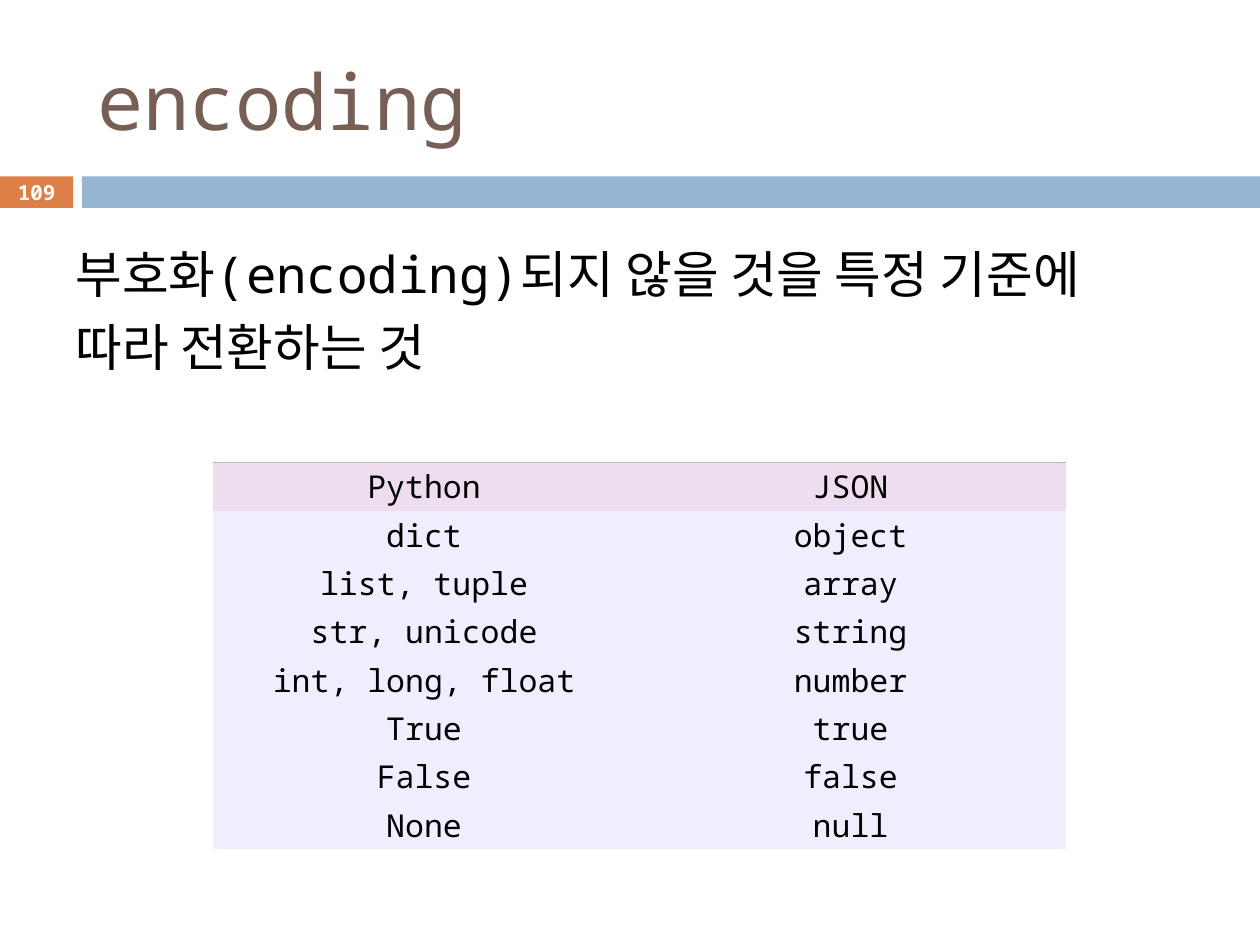
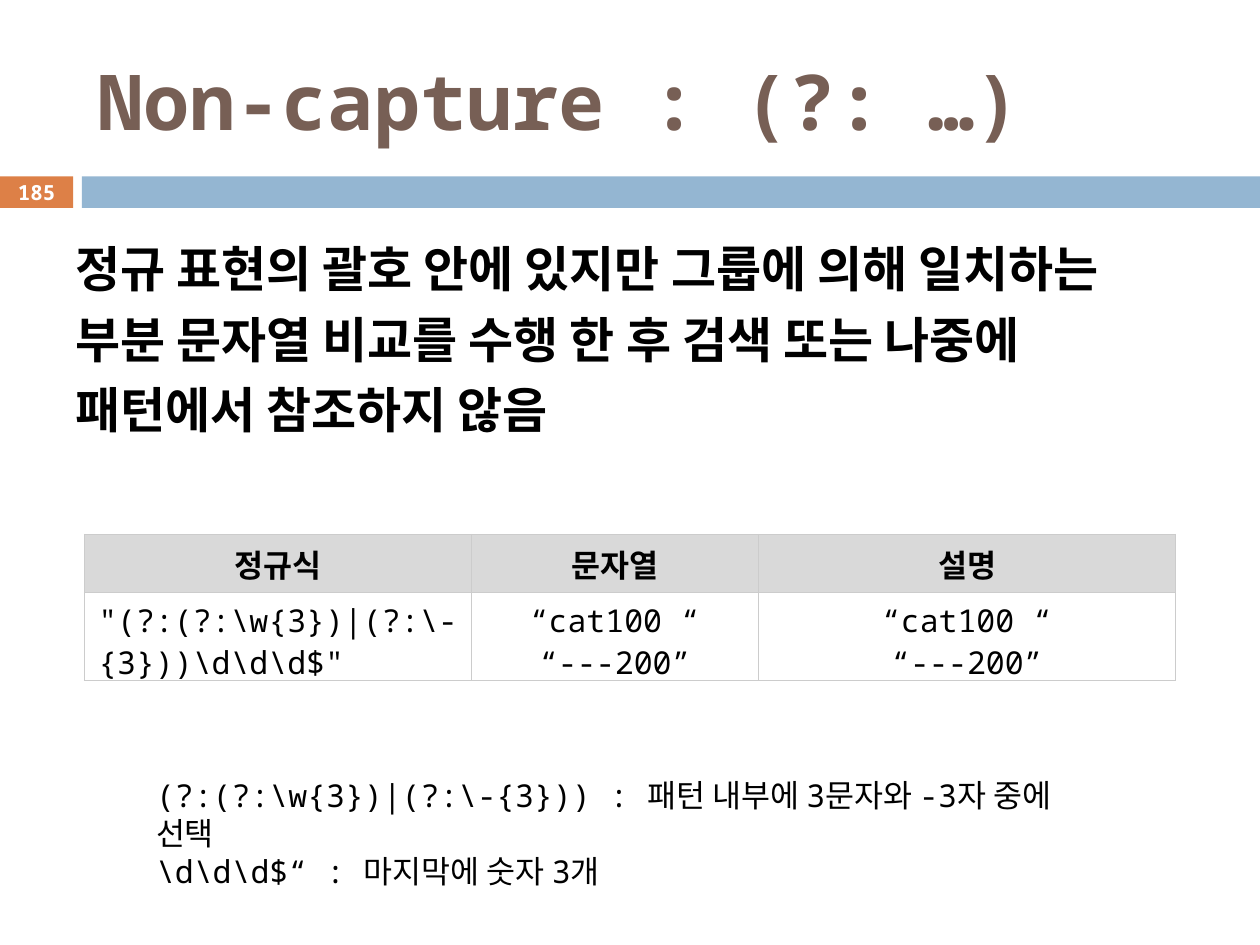
from dataclasses import dataclass

from lxml.etree import SubElement
from pptx import Presentation
from pptx.dml.color import RGBColor
from pptx.enum.shapes import MSO_SHAPE as Preset
from pptx.enum.text import MSO_ANCHOR as Anchor, PP_ALIGN as Align
from pptx.oxml.ns import qn
from pptx.util import Inches, Pt

COLUMNS, ROWS = 100, 75
TITLE_ONLY = 5
PLAIN_TABLE = "{2D5ABB26-0587-4C30-8999-92F81FD0307C}"


@dataclass(frozen=True)
class Theme:
    mono: str = "Noto Sans Mono"
    sans: str = "Arial"
    ink: str = "000000"
    white: str = "FFFFFF"
    title: str = "775F55"
    accent: str = "DD8047"
    band: str = "94B6D2"
    pink: str = "EEDDEE"
    pink_line: str = "CCAACC"
    lilac: str = "EEEEFF"
    gray: str = "D9D9D9"
    gray_line: str = "CCCCCC"
    title_size: float = 44
    statement_size: float = 29
    bold_statement_size: float = 28
    text_size: float = 18
    number_size: float = 11.9
    border: float = 0.6


class Deck:
    def __init__(self, theme):
        self.theme = theme
        self.presentation = Presentation()
        self.presentation.slide_width = Inches(10)
        self.presentation.slide_height = Inches(7.5)
        self.slide = None

    def across(self, columns):
        return round(self.presentation.slide_width * columns / COLUMNS)

    def down(self, rows):
        return round(self.presentation.slide_height * rows / ROWS)

    def area(self, left, top, width, height):
        return self.across(left), self.down(top), self.across(width), self.down(height)

    def fill_text(self, text_frame, text, size, color=None, font=None, bold=False,
                  align=Align.LEFT, line_spacing=None):
        text_frame.text = text
        text_frame.word_wrap = True
        for paragraph in text_frame.paragraphs:
            paragraph.alignment = align
            paragraph.line_spacing = line_spacing
            for run in paragraph.runs:
                run.font.name = font or self.theme.mono
                run.font.size = Pt(size)
                run.font.bold = bold
                run.font.color.rgb = RGBColor.from_string(color or self.theme.ink)

    def band(self, left, width, color):
        shape = self.slide.shapes.add_shape(Preset.RECTANGLE, *self.area(left, 14, width, 2.5))
        shape.shadow.inherit = False
        shape.fill.solid()
        shape.fill.fore_color.rgb = RGBColor.from_string(color)
        shape.line.fill.background()

    def text(self, area, text, size, anchor=Anchor.TOP, **style):
        text_frame = self.slide.shapes.add_textbox(*self.area(*area)).text_frame
        text_frame.vertical_anchor = anchor
        self.fill_text(text_frame, text, size, **style)

    def new_slide(self, title, number, bold=False):
        theme = self.theme
        layout = self.presentation.slide_layouts[TITLE_ONLY]
        self.slide = self.presentation.slides.add_slide(layout)
        self.band(0, 5.8, theme.accent)
        self.band(6.5, 93.5, theme.band)
        heading = self.slide.shapes.title
        heading.left, heading.top, heading.width, heading.height = self.area(6.7, 2.5, 89.2, 10.8)
        heading.text_frame.vertical_anchor = Anchor.MIDDLE
        self.fill_text(heading.text_frame, title, theme.title_size, theme.title, bold=bold)
        self.text((0, 13.9, 5.8, 2.7), str(number), theme.number_size, Anchor.MIDDLE,
                  color=theme.white, bold=True, align=Align.CENTER)

    def border(self, cell, sides, color):
        properties = cell._tc.get_or_add_tcPr()
        for side in sides:
            line = SubElement(properties, qn(f"a:ln{side}"), w=str(Pt(self.theme.border)))
            SubElement(SubElement(line, qn("a:solidFill")), qn("a:srgbClr"), val=color)

    def table(self, left, top, widths, heights, records, fills, line_color,
              header_sides, body_sides, margins, bold_header=False, left_cells=()):
        area = self.area(left, top, sum(widths), sum(heights))
        table = self.slide.shapes.add_table(len(heights), len(widths), *area).table
        table._tbl.tblPr.find(qn("a:tableStyleId")).text = PLAIN_TABLE
        table.first_row = table.horz_banding = False
        for column, width in zip(table.columns, widths):
            column.width = self.across(width)
        for row_index, (record, height) in enumerate(zip(records, heights)):
            table.rows[row_index].height = self.down(height)
            header = row_index == 0
            for column_index, text in enumerate(record):
                cell = table.cell(row_index, column_index)
                cell.margin_left = cell.margin_right = self.across(margins[0])
                cell.margin_top = cell.margin_bottom = self.down(margins[1])
                cell.vertical_anchor = Anchor.MIDDLE
                self.border(cell, header_sides if header else body_sides, line_color)
                cell.fill.solid()
                cell.fill.fore_color.rgb = RGBColor.from_string(fills[0 if header else 1])
                align = Align.LEFT if (row_index, column_index) in left_cells else Align.CENTER
                self.fill_text(cell.text_frame, text, self.theme.text_size,
                               bold=header and bold_header, align=align)


def add_encoding(deck):
    theme = deck.theme
    deck.new_slide("encoding", 109)
    deck.text((5, 17.8, 90, 15.7),
              "부호화(encoding)되지 않을 것을 특정 기준에 따라 전환하는 것",
              theme.statement_size, line_spacing=1.2)
    type_pairs = [
        ("Python", "JSON"),
        ("dict", "object"),
        ("list, tuple", "array"),
        ("str, unicode", "string"),
        ("int, long, float", "number"),
        ("True", "true"),
        ("False", "false"),
        ("None", "null"),
    ]
    deck.table(16.9, 36.7, (33.5, 34.2), [3.84] * len(type_pairs), type_pairs,
               (theme.pink, theme.lilac), theme.pink_line, "T", "", (0.4, 0.2))


def add_non_capture(deck):
    theme = deck.theme
    deck.new_slide("Non-capture : (?: …)", 185, bold=True)
    deck.text((5, 17.5, 90, 18.4),
              "정규 표현의 괄호 안에 있지만 그룹에 의해 일치하는 부분 문자열 비교를 "
              "수행 한 후 검색 또는 나중에 패턴에서 참조하지 않음",
              theme.bold_statement_size, font=theme.sans, bold=True, line_spacing=1.2)
    matches = "“cat100 “\n“---200”"
    pattern_rows = [
        ("정규식", "문자열", "설명"),
        (r'"(?:(?:\w{3})|(?:\-{3}))\d\d\d$"', matches, matches),
    ]
    deck.table(6.7, 42.4, (30.7, 22.8, 33.1), (4.6, 7), pattern_rows,
               (theme.gray, theme.white), theme.gray_line, "LRTB", "LRTB", (1.1, 0.5),
               bold_header=True, left_cells={(1, 0)})
    deck.text((11.4, 61.1, 76.4, 7.1),
              "(?:(?:\\w{3})|(?:\\-{3})) : 패턴 내부에 3문자와 -3자 중에 선택\n"
              "\\d\\d\\d$“ : 마지막에 숫자 3개",
              theme.text_size)


def main():
    deck = Deck(Theme())
    add_encoding(deck)
    add_non_capture(deck)
    deck.presentation.save("out.pptx")


if __name__ == "__main__":
    main()
